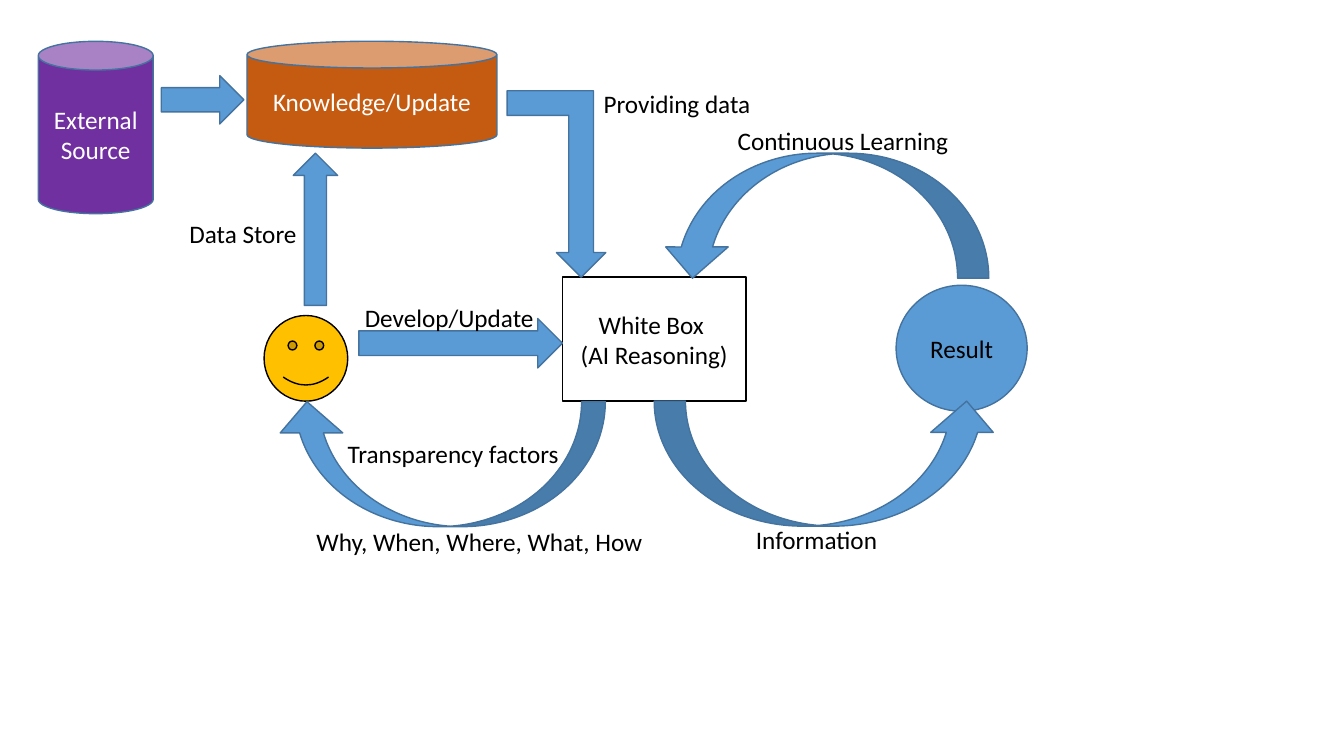
import pptx
import pptx.util
import pptx.dml.color
import pptx.enum.shapes
import pptx.enum.text
import pptx.oxml.ns

KIND = pptx.enum.shapes.MSO_SHAPE
ALIGN = pptx.enum.text.PP_ALIGN
ANCHOR = pptx.enum.text.MSO_ANCHOR
AUTO_SIZE = pptx.enum.text.MSO_AUTO_SIZE

# The slide is a grid of square cells, ten to the inch
CELL = pptx.util.Inches(0.1)
COLUMNS, ROWS = 133.33, 75
FONT, FONT_SIZE = "Calibri", 18
BLACK, WHITE, BLUE, EDGE = "000000", "FFFFFF", "5B9BD5", "43739E"

# Nodes: kind, (column, row, columns, rows), fill, line, text colour, lines of text
NODES = [
    (KIND.RECTANGLE, (55.8, 27.5, 18.2, 12.3), WHITE, BLACK, BLACK,
     ["White Box ", "(AI Reasoning)"]),
    (KIND.SMILEY_FACE, (26.2, 31.3, 8.3, 8.5), "FFC000", BLACK, BLACK, []),
    (KIND.CAN, (24.5, 4.1, 24.8, 10.6), "C55A11", EDGE, WHITE, ["Knowledge/Update"]),
    (KIND.OVAL, (88.9, 28.3, 13, 12.5), BLUE, EDGE, BLACK, ["Result"]),
    (KIND.CAN, (3.8, 4.1, 11.4, 17.1), "7030A0", EDGE, WHITE, ["External Source"]),
]

# Arrows: kind, place, rotation, mirrored, adjustments
ARROWS = [
    (KIND.CURVED_UP_ARROW, (64.9, 39.8, 34.1, 12.4), 0, False, []),
    (KIND.CURVED_DOWN_ARROW, (65.6, 15.2, 32.5, 12.4), 0, True, []),
    (KIND.BENT_UP_ARROW, (50.3, 9, 9.8, 18.5), 180, True, []),
    (KIND.RIGHT_ARROW, (35.6, 31.6, 20.2, 4.9), 0, False, []),
    (KIND.UP_ARROW, (29.1, 15.2, 4.4, 15.1), 0, False, []),
    (KIND.RIGHT_ARROW, (16, 7.5, 8.2, 4.8), 0, False, []),
    (KIND.CURVED_LEFT_ARROW, (37.5, 29.7, 12.4, 32.7), 90, False, [0.19, 0.5, 0.25]),
]

# Labels: text, column, row, columns, wrapped
LABEL_ROWS = 4
LABELS = [
    ("Develop/Update", 35.2, 29.5, 19.8, True),
    ("Data Store", 17.8, 21.2, 12.8, False),
    ("Providing data", 58.9, 8.3, 19.6, True),
    ("Continuous Learning", 72.2, 11.9, 25.8, True),
    ("Information", 74, 51.5, 27.8, True),
    ("Transparency factors", 33.5, 43, 23.2, False),
    ("Why, When, Where, What, How", 30.4, 51.7, 34.8, False),
]


def rgb(value):
    return pptx.dml.color.RGBColor.from_string(value)


def cells(*counts):
    return [int(count * CELL) for count in counts]


def write(text_frame, lines, color, alignment):
    for index, line in enumerate(lines):
        paragraph = text_frame.add_paragraph() if index else text_frame.paragraphs[0]
        paragraph.alignment = alignment
        run = paragraph.add_run()
        run.text = line
        run.font.name = FONT
        run.font.size = pptx.util.Pt(FONT_SIZE)
        run.font.color.rgb = rgb(color)


def add_shape(slide, kind, place, fill, line):
    shape = slide.shapes.add_shape(kind, *cells(*place))
    shape.shadow.inherit = False
    shape.fill.solid()
    shape.fill.fore_color.rgb = rgb(fill)
    shape.line.color.rgb = rgb(line)
    shape.line.width = pptx.util.Pt(1)
    return shape


def add_node(slide, kind, place, fill, line, color, lines):
    shape = add_shape(slide, kind, place, fill, line)
    shape.text_frame.word_wrap = True
    shape.text_frame.vertical_anchor = ANCHOR.MIDDLE
    write(shape.text_frame, lines, color, ALIGN.CENTER)


def add_arrow(slide, kind, place, rotation, mirrored, adjustments):
    shape = add_shape(slide, kind, place, BLUE, EDGE)
    shape.rotation = rotation
    if mirrored:
        shape.element.spPr.find(pptx.oxml.ns.qn("a:xfrm")).set("flipH", "1")
    for index, value in enumerate(adjustments):
        shape.adjustments[index] = value


def add_label(slide, text, column, row, columns, wrapped):
    box = slide.shapes.add_textbox(*cells(column, row, columns, LABEL_ROWS))
    box.text_frame.word_wrap = wrapped
    box.text_frame.auto_size = AUTO_SIZE.SHAPE_TO_FIT_TEXT
    write(box.text_frame, [text], BLACK, ALIGN.LEFT)


def main():
    presentation = pptx.Presentation()
    presentation.slide_width, presentation.slide_height = cells(COLUMNS, ROWS)
    slide = presentation.slides.add_slide(presentation.slide_layouts[6])
    for node in NODES:
        add_node(slide, *node)
    for arrow in ARROWS:
        add_arrow(slide, *arrow)
    for label in LABELS:
        add_label(slide, *label)
    presentation.save("out.pptx")


if __name__ == "__main__":
    main()
